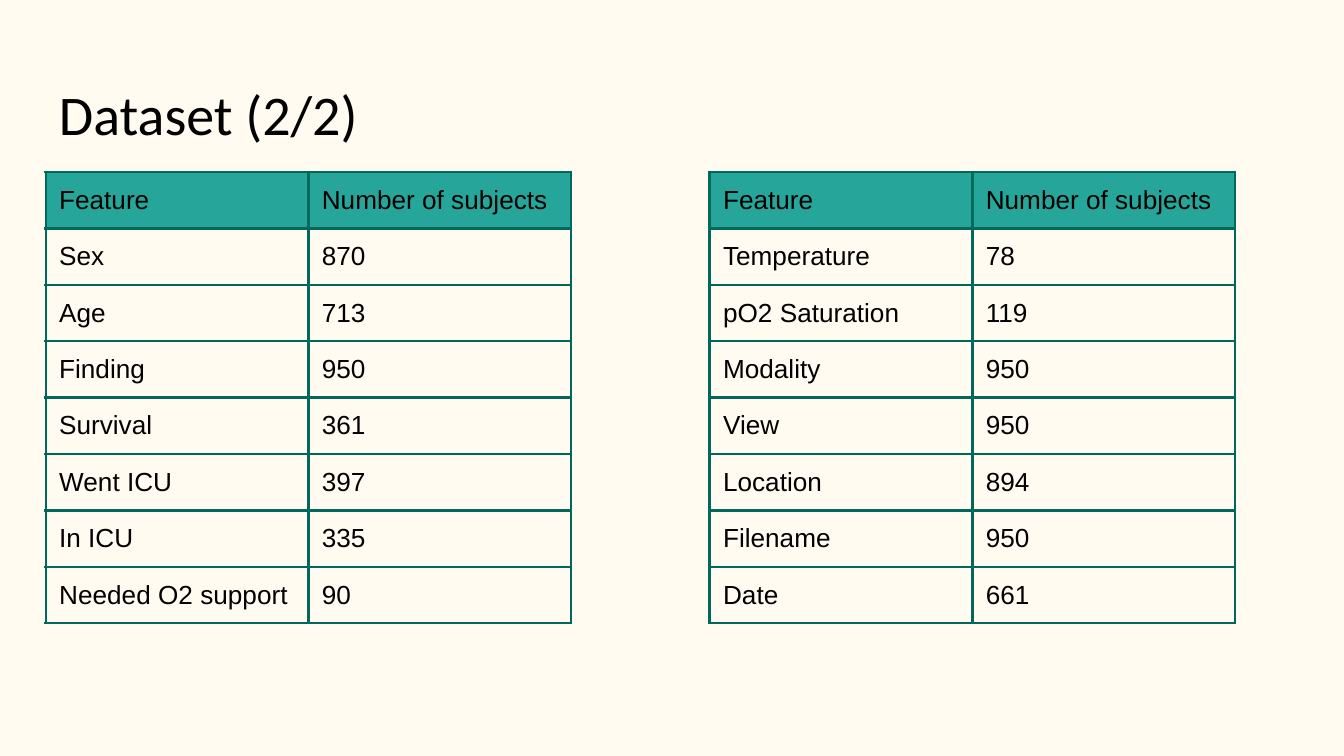
"""Build the dataset slide with two tables of subject counts per feature."""
from lxml import etree
from pptx import Presentation
from pptx.dml.color import RGBColor
from pptx.oxml import ns
from pptx.util import Inches, Pt

TITLE = "Dataset (2/2)"
HEADER = ("Feature", "Number of subjects")
SUBJECT_COUNTS = [
    [("Sex", 870), ("Age", 713), ("Finding", 950), ("Survival", 361),
     ("Went ICU", 397), ("In ICU", 335), ("Needed O2 support", 90)],
    [("Temperature", 78), ("pO2 Saturation", 119), ("Modality", 950), ("View", 950),
     ("Location", 894), ("Filename", 950), ("Date", 661)],
]
CREAM, TEAL, DARK_TEAL, BLACK = "FFFBF0", "26A69A", "00695C", "000000"
LEFT, TABLE_TOP, TABLE_PITCH = 0.34, 1.28, 4.94
TABLE_WIDTH, ROW_HEIGHT, MARGIN = 3.91, 0.42, 0.1


def color(value):
    return RGBColor.from_string(value)


def write(frame, content, *, margins, size=14, font="Arial", ink=BLACK, spacing=None):
    margins.margin_left = margins.margin_right = Inches(MARGIN)
    margins.margin_top = margins.margin_bottom = Inches(MARGIN)
    paragraph = frame.paragraphs[0]
    paragraph.line_spacing = spacing
    run = paragraph.add_run()
    run.text = content
    run.font.size = Pt(size)
    run.font.name = font
    run.font.bold = False
    run.font.color.rgb = color(ink)


def add_borders(cell, ink=DARK_TEAL, width=1.5):
    properties = cell._tc.get_or_add_tcPr()
    for position, side in enumerate(("lnL", "lnR", "lnT", "lnB")):
        line = etree.Element(ns.qn(f"a:{side}"), w=str(Pt(width)))
        fill = etree.SubElement(line, ns.qn("a:solidFill"))
        etree.SubElement(fill, ns.qn("a:srgbClr"), val=ink)
        properties.insert(position, line)


def add_count_table(slide, left, counts):
    rows = [HEADER, *counts]
    table = slide.shapes.add_table(
        len(rows), len(HEADER), Inches(left), Inches(TABLE_TOP),
        Inches(TABLE_WIDTH), Inches(ROW_HEIGHT * len(rows))).table
    table.horz_banding = False
    for row_index, row in enumerate(rows):
        for column_index, value in enumerate(row):
            cell = table.cell(row_index, column_index)
            write(cell.text_frame, str(value), margins=cell, spacing=Pt(15.8))
            if row_index == 0:
                cell.fill.solid()
                cell.fill.fore_color.rgb = color(TEAL)
            else:
                cell.fill.background()
            add_borders(cell)


def main():
    deck = Presentation()
    deck.slide_width = Inches(10)
    deck.slide_height = deck.slide_width * 9 // 16
    slide = deck.slides.add_slide(deck.slide_layouts[6])
    slide.background.fill.solid()
    slide.background.fill.fore_color.rgb = color(CREAM)
    title = slide.shapes.add_textbox(Inches(LEFT), Inches(0.49), Inches(9.32), Inches(0.67))
    title.text_frame.word_wrap = True
    write(title.text_frame, TITLE, margins=title.text_frame, size=30, font="Calibri")
    for index, counts in enumerate(SUBJECT_COUNTS):
        add_count_table(slide, LEFT + index * TABLE_PITCH, counts)
    deck.save("out.pptx")


if __name__ == "__main__":
    main()
